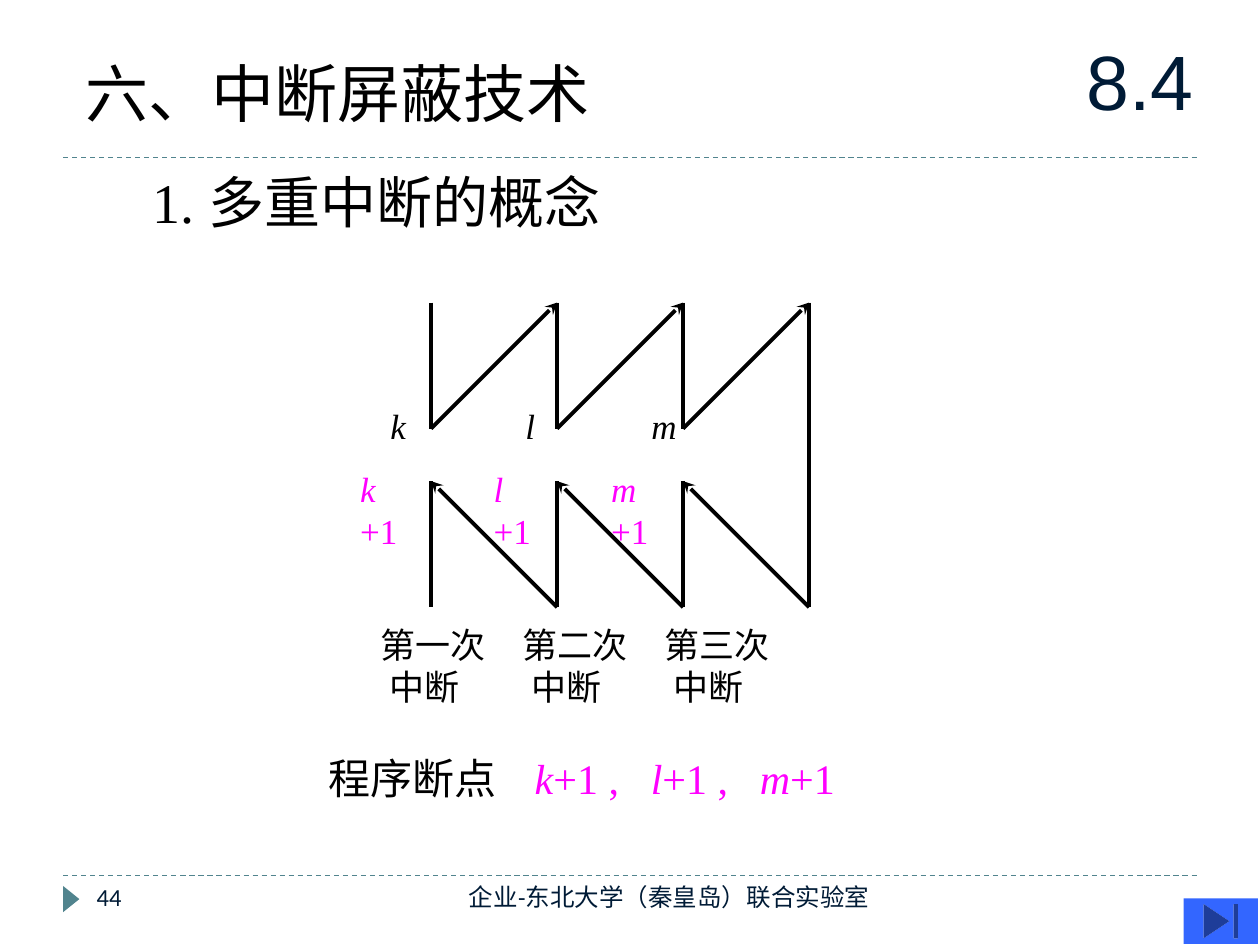
from dataclasses import dataclass

from lxml import etree
from pptx import Presentation
from pptx.dml.color import RGBColor
from pptx.enum.dml import MSO_LINE
from pptx.enum.shapes import MSO_CONNECTOR, MSO_SHAPE
from pptx.enum.text import MSO_ANCHOR, PP_ALIGN
from pptx.oxml.ns import qn
from pptx.util import Cm, Pt

STRAIGHT = MSO_CONNECTOR.STRAIGHT
DASH = MSO_LINE.DASH
TRIANGLE = MSO_SHAPE.ISOSCELES_TRIANGLE
END_BUTTON = MSO_SHAPE.ACTION_BUTTON_END
MIDDLE, TOP = MSO_ANCHOR.MIDDLE, MSO_ANCHOR.TOP
LEFT, CENTER, RIGHT = PP_ALIGN.LEFT, PP_ALIGN.CENTER, PP_ALIGN.RIGHT


@dataclass(frozen=True)
class Theme:
    black: RGBColor = RGBColor(0, 0, 0)
    navy: RGBColor = RGBColor(0x00, 0x1B, 0x36)
    teal: RGBColor = RGBColor(0x51, 0x84, 0x8E)
    magenta: RGBColor = RGBColor(0xFF, 0x00, 0xFF)
    blue: RGBColor = RGBColor(0x33, 0x66, 0xFF)
    serif: str = "Times New Roman"
    number: str = "Arial"
    footer: str = "Calibri"
    chapter_size: int = 44
    title_size: int = 36
    heading_size: int = 32
    summary_size: int = 24
    label_size: int = 20
    footer_size: int = 14


theme = Theme()
deck = Presentation()
deck.slide_width, deck.slide_height = Cm(25.4), Cm(19.05)
page = deck.slides.add_slide(deck.slide_layouts[6])


def add_text(text, left, top, width, height, size, color=theme.black,
             font=theme.serif, align=LEFT, anchor=TOP, wrap=False):
    """Add a text box in one style, measured in centimetres; return its frame."""
    frame = page.shapes.add_textbox(Cm(left), Cm(top), Cm(width), Cm(height)).text_frame
    frame.word_wrap = wrap
    frame.vertical_anchor = anchor
    frame.text = text
    for para in frame.paragraphs:
        para.alignment = align
        for span in para.runs:
            span.font.name = font
            span.font.size = Pt(size)
            span.font.color.rgb = color
    return frame


def add_line(x1, y1, x2, y2, color=theme.black, width=2.25, arrow=False):
    line = page.shapes.add_connector(STRAIGHT, Cm(x1), Cm(y1), Cm(x2), Cm(y2))
    line.line.color.rgb = color
    line.line.width = Pt(width)
    if arrow:
        etree.SubElement(line.line._get_or_add_ln(), qn("a:tailEnd"), type="stealth")
    etree.SubElement(line._element.spPr, qn("a:effectLst"))
    return line


# Rules and footer marker
for rule_y in (3.18, 17.65):
    add_line(1.27, rule_y, 24.13, rule_y, theme.teal, 0.75).line.dash_style = DASH

marker = page.shapes.add_shape(TRIANGLE, Cm(1.17), Cm(17.96), Cm(0.53), Cm(0.33))
marker.rotation = 90
button = page.shapes.add_shape(END_BUTTON, Cm(23.86), Cm(18.11), Cm(1.5), Cm(0.92))
for shape, color in ((marker, theme.teal), (button, theme.blue)):
    shape.shadow.inherit = False
    shape.fill.solid()
    shape.fill.fore_color.rgb = color
    shape.line.fill.background()

# Headings
add_text("六、中断屏蔽技术", 1.47, 0.97, 10.72, 1.78, theme.title_size)
add_text("8.4", 21.39, 0.43, 3.18, 2.34, theme.chapter_size, theme.navy,
         theme.number, CENTER, MIDDLE, wrap=True)
heading = add_text("1. 多重中断的概念", 3.07, 3.45, 9.6, 1.19,
                   theme.heading_size, anchor=MIDDLE, wrap=True)
heading.margin_left = heading.margin_right = 0
heading.margin_top = heading.margin_bottom = 0

# Nested interrupts: calls rise to the right, returns rise to the left
first_x, step = 8.69, 2.54
call_top, call_bottom = 6.1, 8.64
return_top, return_bottom = 9.7, 12.24
for level in range(3):
    x = first_x + level * step
    add_line(x, call_top, x, call_bottom)
    add_line(x, call_bottom, x + step, call_top, arrow=True)
    add_line(x + step, return_bottom, x, return_top, arrow=True)
    add_line(x, return_top, x, return_bottom)
last_x = first_x + 3 * step
add_line(last_x, call_top, last_x, return_bottom)

# Name, left and width of the break label, left and width of the return label
break_points = [
    ("k", 7.62, 0.86, 7.01, 1.75),
    ("l", 10.34, 0.71, 9.7, 1.6),
    ("m", 12.88, 1.07, 12.07, 1.96),
]
for name, left, width, return_left, return_width in break_points:
    label = add_text(name, left, 8.03, width, 1.09, theme.label_size)
    return_label = add_text(f"{name}\v+1", return_left, 9.3, return_width, 1.94,
                            theme.label_size, theme.magenta, wrap=True)
    for frame in (label, return_label):
        frame.paragraphs[0].runs[0].font.italic = True

for index, ordinal in enumerate("一二三"):
    caption = add_text(f"第{ordinal}次\n中断", 7.42 + index * 2.86, 12.45, 2.64, 1.96,
                       theme.label_size)
    caption.paragraphs[1]._p.get_or_add_pPr().set("marL", str(Cm(0.18)))

# Summary of the break points, spaced by tab stops
summary = add_text("程序断点\t", 6.38, 15.04, 12.24, 1.27, theme.summary_size, wrap=True)
para = summary.paragraphs[0]
tabs = etree.SubElement(para._p.get_or_add_pPr(), qn("a:tabLst"))
for position in (4.15, 6.49, 8.69):
    etree.SubElement(tabs, qn("a:tab"), pos=str(Cm(position)), algn="l")
for name, rest in (("k", "+1 ,\t"), ("l", "+1 ,\t"), ("m", "+1")):
    for text, italic in ((name, True), (rest, False)):
        span = para.add_run()
        span.text = text
        span.font.name = theme.serif
        span.font.size = Pt(theme.summary_size)
        span.font.color.rgb = theme.magenta
        span.font.italic = italic

# Footer
add_text("44", 1.7, 17.65, 5.51, 1.02, theme.footer_size, theme.navy,
         theme.footer, wrap=True)
add_text("企业-东北大学（秦皇岛）联合实验室", 8.05, 17.65, 9.73, 1.02, theme.footer_size,
         theme.navy, theme.footer, RIGHT, wrap=True)

deck.save("out.pptx")
